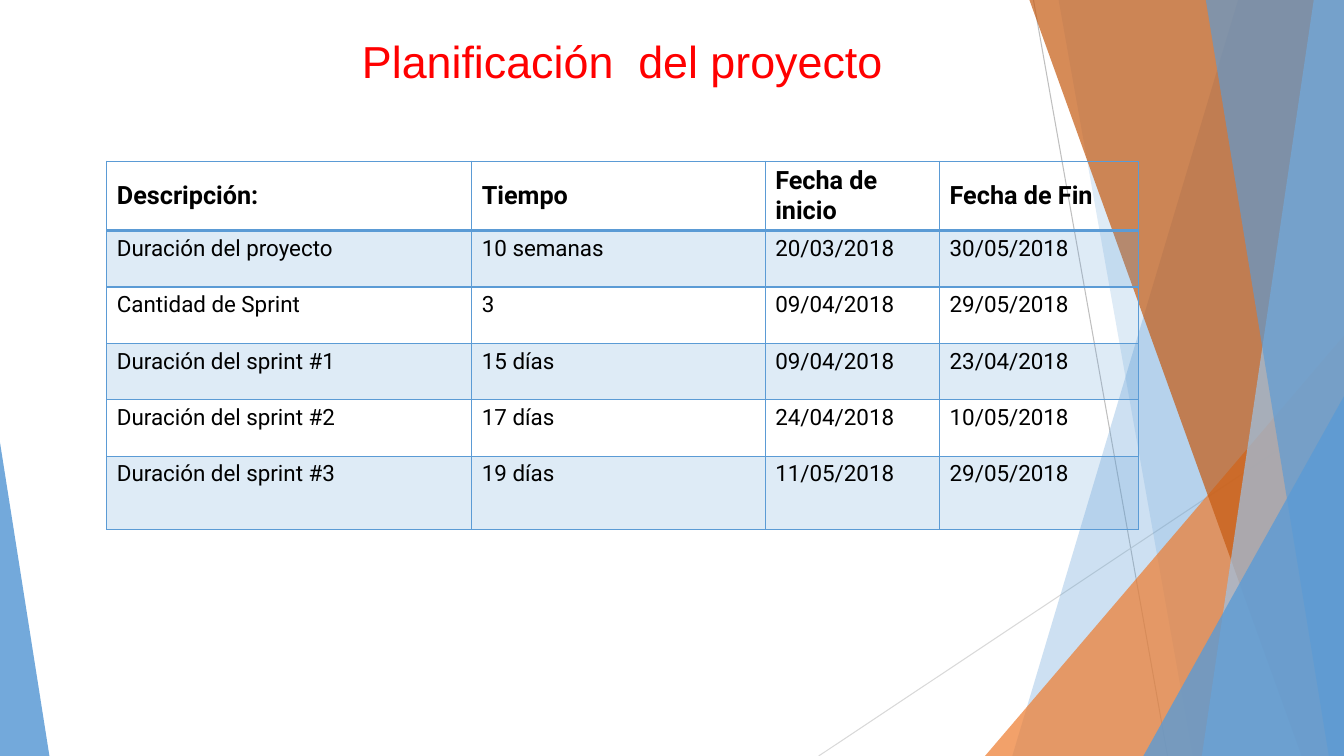
"""Build the project planning slide with its schedule table."""
from lxml import etree
from pptx import Presentation
from pptx.dml.color import RGBColor
from pptx.enum import shapes, text
from pptx.oxml import ns
from pptx.util import Inches, Pt

TITLE = "Planificación  del proyecto"
ROWS = [
    ("Descripción:", "Tiempo", "Fecha de inicio", "Fecha de Fin"),
    ("Duración del proyecto", "10 semanas", "20/03/2018", "30/05/2018"),
    ("Cantidad de Sprint", "3", "09/04/2018", "29/05/2018"),
    ("Duración del sprint #1", "15 días", "09/04/2018", "23/04/2018"),
    ("Duración del sprint #2", "17 días", "24/04/2018", "10/05/2018"),
    ("Duración del sprint #3", "19 días", "11/05/2018", "29/05/2018"),
]
COL_WIDTHS = [3.62, 2.91, 1.73, 1.97]
ROW_HEIGHTS = [0.56] * 5 + [0.73]
WIDTH, HEIGHT = 13.33, 7.5
BLUE, ORANGE = "5B9BD5", "ED7D31"

LINES = [
    ((10.25, 0), (11.58, HEIGHT), "BFBFBF"),
    ((WIDTH, 4.03), (8.12, HEIGHT), "D9D9D9"),
]
# kind, geometry, colour, opacity
DECOR = [
    ("band", (12.28, 10.04), BLUE, 30),
    ("band", (10.5, 11.83), BLUE, 20),
    ("triangle", (9.77, 3.33, 1), ORANGE, 72),
    ("band", (10.21, 12.91), "C55A11", 70),
    ("band", (13.03, 11.92), "9DC3E6", 70),
    ("band", (11.96, 13.18), BLUE, 65),
    ("triangle", (11.34, 3.93, 1), BLUE, 80),
    ("triangle", (0, 4.39, 0), BLUE, 85),
]
LEFT_TRIANGLE_WIDTH = 0.49


def rgb(value):
    return RGBColor.from_string(value)


def paint(fill, props, color, opacity):
    fill.solid()
    fill.fore_color.rgb = rgb(color)
    clr = props.find(ns.qn("a:solidFill"))[0]
    etree.SubElement(clr, ns.qn("a:alpha"), val=str(opacity * 1000))


def set_attrs(obj, values):
    for name, value in values.items():
        setattr(obj, name, value)


def write(tf, words, size, font, color, bold=False):
    p = tf.paragraphs[0]
    r = p.add_run()
    r.text = words
    set_attrs(r.font, {"size": Pt(size), "name": font, "bold": bold})
    r.font.color.rgb = rgb(color)
    return p


def add_line(s, start, end, color):
    line = s.shapes.add_connector(shapes.MSO_CONNECTOR.STRAIGHT,
                                  *map(Inches, start + end))
    line.line.width = Pt(0.75)
    line.line.color.rgb = rgb(color)
    etree.SubElement(line._element.spPr, ns.qn("a:effectLst"))


def add_band(s, top_x, bottom_x):
    points = [(Inches(x), Inches(y)) for x, y in
              [(top_x, 0), (WIDTH, 0), (WIDTH, HEIGHT), (bottom_x, HEIGHT)]]
    builder = s.shapes.build_freeform(*points[0])
    builder.add_line_segments(points[1:], close=True)
    return builder.convert_to_shape()


def add_triangle(s, left, top, apex):
    width = WIDTH - left if apex else LEFT_TRIANGLE_WIDTH
    sp = s.shapes.add_shape(shapes.MSO_SHAPE.ISOSCELES_TRIANGLE,
                            *map(Inches, (left, top, width, HEIGHT - top)))
    sp.adjustments[0] = apex
    return sp


def add_decor(s):
    for line in LINES:
        add_line(s, *line)
    builders = {"band": add_band, "triangle": add_triangle}
    for kind, geometry, color, opacity in DECOR:
        sp = builders[kind](s, *geometry)
        sp.shadow.inherit = False
        sp.line.fill.background()
        paint(sp.fill, sp._element.spPr, color, opacity)


def add_borders(tc_pr, row):
    widths = {"lnL": 1, "lnR": 1, "lnT": 2 if row == 1 else 1,
              "lnB": 2 if row == 0 else 1}
    for i, (side, width) in enumerate(widths.items()):
        ln = etree.Element(ns.qn(f"a:{side}"), w=str(Pt(width)))
        fill = etree.SubElement(ln, ns.qn("a:solidFill"))
        etree.SubElement(fill, ns.qn("a:srgbClr"), val=BLUE)
        tc_pr.insert(i, ln)


def add_schedule(s):
    frame = s.shapes.add_table(len(ROWS), len(COL_WIDTHS), Inches(1.06), Inches(1.6),
                               Inches(sum(COL_WIDTHS)), Inches(sum(ROW_HEIGHTS)))
    table = frame.table
    set_attrs(table, {"first_row": False, "horz_banding": False})
    for col, width in zip(table.columns, COL_WIDTHS):
        col.width = Inches(width)
    for i, (row, height) in enumerate(zip(table.rows, ROW_HEIGHTS)):
        row.height = Inches(height)
        header = i == 0
        for cell, words in zip(row.cells, ROWS[i]):
            anchor = text.MSO_ANCHOR.MIDDLE if header else text.MSO_ANCHOR.TOP
            cell.vertical_anchor = anchor
            write(cell.text_frame, words, 18 if header else 16, "Roboto", "000000", header)
            tc_pr = cell._tc.get_or_add_tcPr()
            if i % 2:
                paint(cell.fill, tc_pr, BLUE, 20)
            else:
                cell.fill.background()
            add_borders(tc_pr, i)


def add_title(s):
    title = s.shapes.title
    set_attrs(title, {"left": Inches(1.08), "top": Inches(0.29),
                      "width": Inches(10.19), "height": Inches(0.62)})
    tf = title.text_frame
    set_attrs(tf, {"word_wrap": True, "auto_size": text.MSO_AUTO_SIZE.NONE,
                   "vertical_anchor": text.MSO_ANCHOR.MIDDLE})
    p = write(tf, TITLE, 32, "Arial", "FF0000")
    p.alignment = text.PP_ALIGN.CENTER


def main():
    prs = Presentation()
    set_attrs(prs, {"slide_width": Inches(WIDTH), "slide_height": Inches(HEIGHT)})
    s = prs.slides.add_slide(prs.slide_layouts[5])
    add_decor(s)
    add_title(s)
    add_schedule(s)
    prs.save("out.pptx")


if __name__ == "__main__":
    main()
